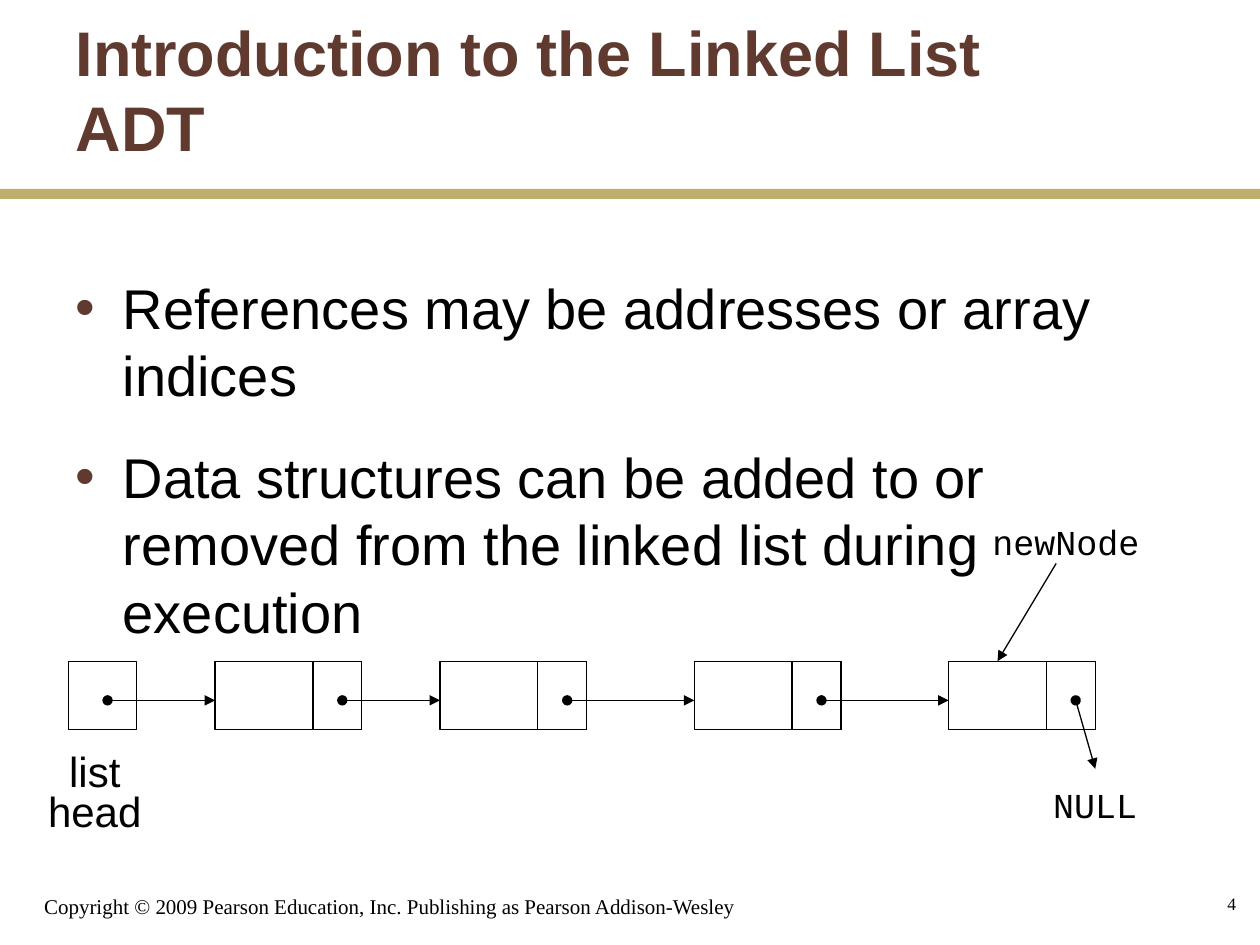
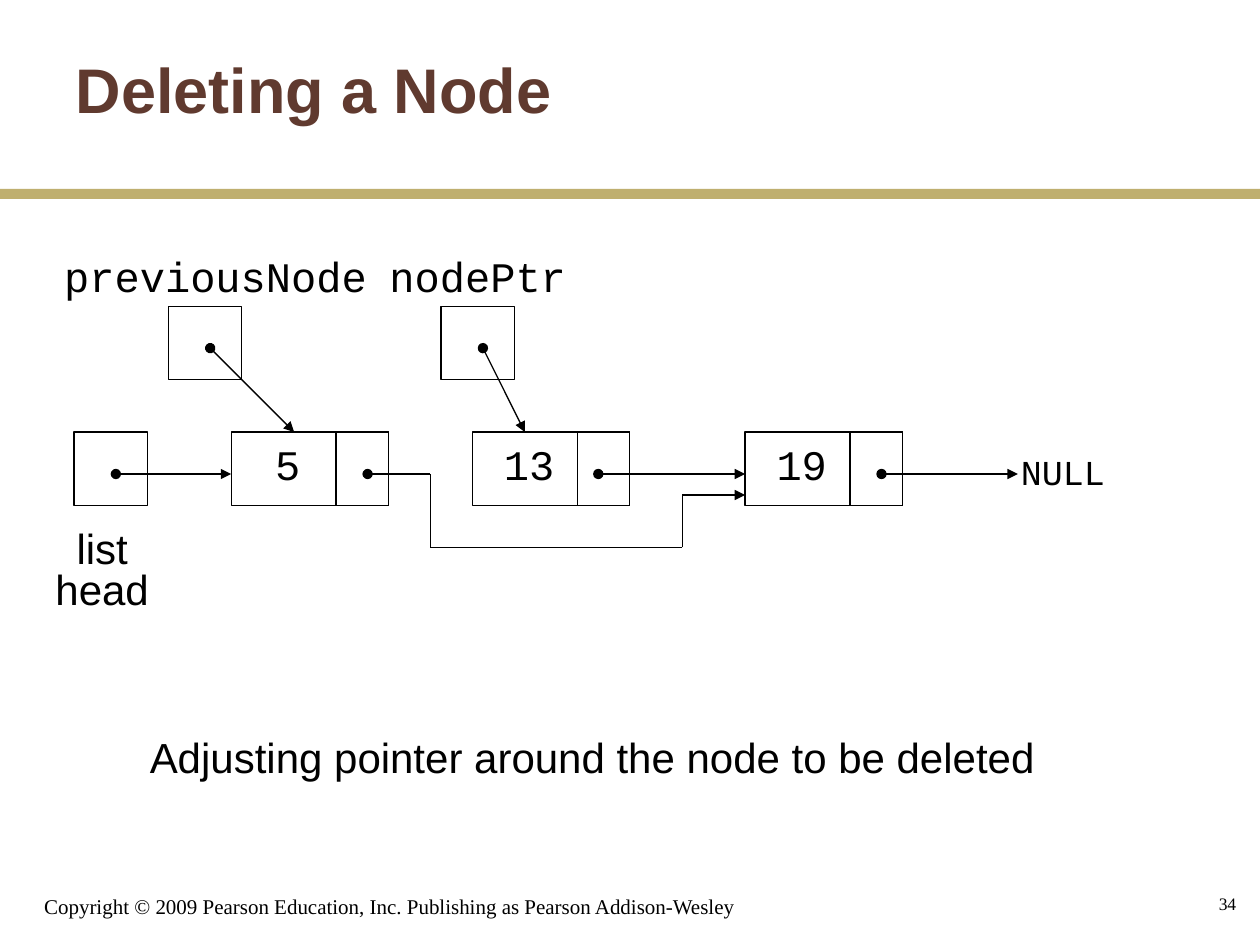
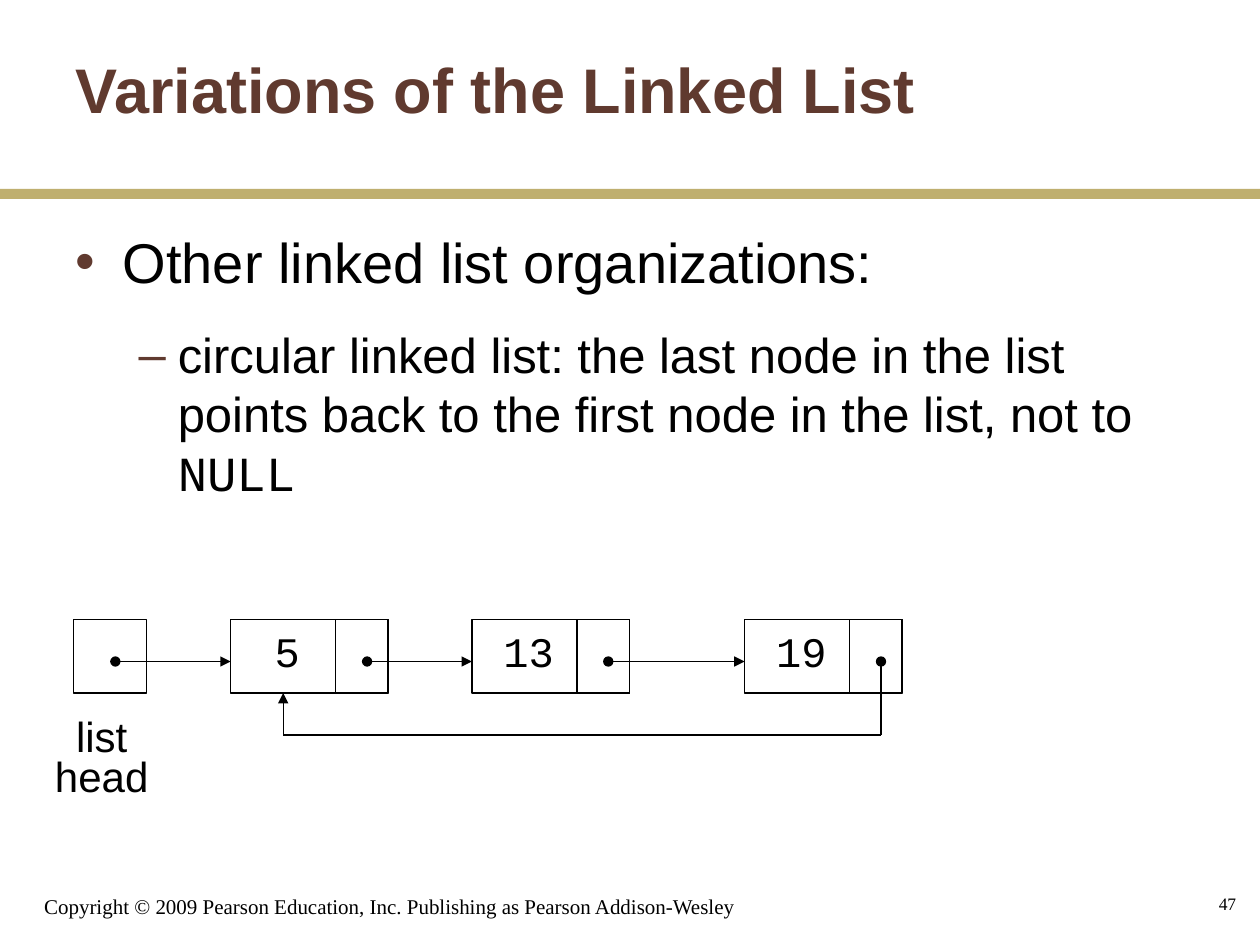
from itertools import pairwise
from pptx import Presentation
from pptx.dml.color import RGBColor
from pptx.enum.shapes import MSO_CONNECTOR, MSO_SHAPE
from pptx.enum.text import MSO_ANCHOR, MSO_AUTO_SIZE, PP_ALIGN
from pptx.oxml.ns import qn
from pptx.oxml.xmlchemy import OxmlElement
from pptx.util import Cm, Pt

COLORS = {"title": "603A2F", "band": "BFAF6F", "ink": "000000"}
SANS, MONO, SERIF = "Arial", "Courier New", "Times New Roman"
COPYRIGHT = "Copyright © 2009 Pearson Education, Inc. Publishing as Pearson Addison-Wesley"
LEVELS = [
    {"char": "•", "size": 32, "margin": 0.95, "hang": 0.95, "before": 20},
    {"char": "–", "size": 28, "margin": 2.06, "hang": 0.79, "before": 17.5},
]
NODE_STARTS = [15, 38, 64, 90]
NODE_WIDTH, DATA_WIDTH, SIDE, DOT = 15, 10, 7, 4
LINK_DOT = 13


def color(name):
    return RGBColor.from_string(COLORS[name])


def set_all(obj, values):
    for name, value in values.items():
        setattr(obj, name, value)


def add_run(p, text, font, size, ink="ink", bold=False):
    r = p.add_run()
    r.text = text
    set_all(r.font, {"name": font, "size": Pt(size), "bold": bold})
    r.font.color.rgb = color(ink)


def add_text(shapes, box, lines, font, size, wrap=True, anchor=MSO_ANCHOR.TOP,
             align=PP_ALIGN.LEFT, spacing=1.0):
    tf = shapes.add_textbox(*map(Cm, box)).text_frame
    set_all(tf, {"word_wrap": wrap, "vertical_anchor": anchor})
    for i, line in enumerate(lines):
        p = tf.add_paragraph() if i else tf.paragraphs[0]
        set_all(p, {"alignment": align, "line_spacing": spacing})
        add_run(p, line, font, size)


def place(shape, box):
    set_all(shape, dict(zip(("left", "top", "width", "height"), map(Cm, box))))


def add_frame(prs, layout, title, number):
    s = prs.slides.add_slide(prs.slide_layouts[layout])
    band = s.shapes.add_shape(MSO_SHAPE.RECTANGLE, 0, Cm(3.81), prs.slide_width, Cm(0.2))
    band.shadow.inherit = False
    band.fill.solid()
    band.fill.fore_color.rgb = color("band")
    band.line.fill.background()
    place(s.shapes.title, (1.27, 0.2, 21.16, 3.18))
    tf = s.shapes.title.text_frame
    set_all(tf, {"auto_size": MSO_AUTO_SIZE.NONE, "vertical_anchor": MSO_ANCHOR.MIDDLE})
    p = tf.paragraphs[0]
    p.alignment = PP_ALIGN.LEFT
    add_run(p, title, SANS, 36, "title", True)
    add_text(s.shapes, (0.64, 17.58, 15.44, 1.07), [COPYRIGHT], SERIF, 12,
             anchor=MSO_ANCHOR.BOTTOM)
    add_text(s.shapes, (19.89, 17.58, 5.28, 1.27), [str(number)], SERIF, 10,
             anchor=MSO_ANCHOR.MIDDLE, align=PP_ALIGN.RIGHT)
    return s


def add_bullet(p, level):
    pPr = p._p.get_or_add_pPr()
    pPr.set("marL", str(Cm(level["margin"])))
    pPr.set("indent", str(-Cm(level["hang"])))
    tint = OxmlElement("a:buClr")
    rgb = OxmlElement("a:srgbClr")
    rgb.set("val", COLORS["title"])
    tint.append(rgb)
    face = OxmlElement("a:buFont")
    face.set("typeface", SANS)
    char = OxmlElement("a:buChar")
    char.set("char", level["char"])
    for el in (tint, face, char):
        pPr.append(el)


def fill_body(s, box, items):
    body = s.placeholders[1]
    place(body, box)
    tf = body.text_frame
    tf.auto_size = MSO_AUTO_SIZE.NONE
    for i, (depth, runs) in enumerate(items):
        level = LEVELS[depth]
        p = tf.add_paragraph() if i else tf.paragraphs[0]
        add_bullet(p, level)
        set_all(p, {"level": depth, "space_before": Pt(level["before"] if i else 0)})
        for text, font in runs:
            add_run(p, text, font, level["size"])


class ListDiagram:
    def __init__(self, s, x, y, side):
        self.shapes = s.shapes.add_group_shape().shapes
        self.x, self.y, self.unit = x, y, side / SIDE

    def at(self, col, row):
        return self.x + col * self.unit, self.y + row * self.unit

    def rect(self, col, row, width):
        size = (width * self.unit, SIDE * self.unit)
        box = self.shapes.add_shape(MSO_SHAPE.RECTANGLE, *map(Cm, self.at(col, row) + size))
        box.shadow.inherit = False
        box.fill.background()
        box.line.color.rgb = color("ink")
        box.line.width = Pt(0.75)

    def route(self, *points, dot=True):
        legs = list(pairwise(points))
        for i, (start, end) in enumerate(legs):
            c = self.shapes.add_connector(
                MSO_CONNECTOR.STRAIGHT, *map(Cm, self.at(*start) + self.at(*end)))
            c.line.color.rgb = color("ink")
            c.line.width = Pt(0.75)
            spPr = c._element.spPr
            ends = [("a:headEnd", "oval", dot and i == 0),
                    ("a:tailEnd", "triangle", i == len(legs) - 1)]
            for tag, kind, shown in ends:
                if shown:
                    el = OxmlElement(tag)
                    el.set("type", kind)
                    spPr.find(qn("a:ln")).append(el)
            spPr.append(OxmlElement("a:effectLst"))

    def label(self, center, row, width, lines, font=MONO, size=24, spacing=1.0):
        x, y = self.at(center, row)
        height = 0.25 + 0.81 * len(lines)
        add_text(self.shapes, (x - width / 2, y, width, height), lines, font, size,
                 wrap=False, align=PP_ALIGN.CENTER, spacing=spacing)

    def null(self, center, row):
        self.label(center, row, 2.21, ["NULL"], size=20, spacing=1.2)

    def pointer_box(self, col, name, center, width, target):
        self.rect(col, -12, SIDE)
        self.route((col + DOT, DOT - 12), (target, 0))
        self.label(center, -17, width, [name], spacing=0.8)

    def chain(self, values, arrows):
        self.rect(0, 0, SIDE)
        self.label(2.7, 9, 2.39, ["list", "head"], SANS, spacing=0.8)
        for start, value in zip(NODE_STARTS, values):
            self.rect(start, 0, NODE_WIDTH)
            self.rect(start + DATA_WIDTH, 0, NODE_WIDTH - DATA_WIDTH)
            if value:
                self.label(start + 5.4, 0, 0.51 * (1 + len(value)), [value])
        dots = [DOT] + [start + LINK_DOT for start in NODE_STARTS]
        for i in arrows:
            self.route((dots[i], DOT), (NODE_STARTS[i], DOT))


def intro_slide(prs):
    s = add_frame(prs, 1, "Introduction to the Linked List ADT", 4)
    fill_body(s, (1.27, 5.38, 22.23, 10.39), [
        (0, [("References may be addresses or array indices", SANS)]),
        (0, [("Data structures can be added to or removed from the linked list "
              "during execution", SANS)]),
    ])
    d = ListDiagram(s, 1.38, 13.33, 1.38)
    d.chain([""] * 4, range(4))
    d.route((103, DOT), (105, 11))
    d.null(105, 11)
    d.label(102, -15, 3.48, ["newNode"], size=20)
    d.route((101, -10), (95, 0), dot=False)


def deleting_slide(prs):
    s = add_frame(prs, 5, "Deleting a Node", 34)
    add_text(s.shapes, (2.77, 14.81, 18.34, 1.07),
             ["Adjusting pointer around the node to be deleted"], SANS, 24,
             wrap=False, spacing=0.8)
    d = ListDiagram(s, 1.49, 8.71, 1.48)
    d.chain(["5", "13", "19"], [0])
    d.route((28, DOT), (34, DOT), (34, 11), (58, 11), (58, 6), (64, 6))
    d.route((50, DOT), (64, DOT))
    d.route((77, DOT), (90, DOT))
    d.null(94.3, 0.4)
    d.pointer_box(9, "previousNode", 13.5, 6.6, 21)
    d.pointer_box(35, "nodePtr", 38.5, 4.06, 43)


def variations_slide(prs):
    s = add_frame(prs, 1, "Variations of the Linked List", 47)
    fill_body(s, (1.27, 4.45, 23.06, 11.43), [
        (0, [("Other linked list organizations:", SANS)]),
        (1, [("circular linked list: the last node in the list points back to the "
              "first node in the list, not to ", SANS), ("NULL", MONO)]),
    ])
    d = ListDiagram(s, 1.48, 12.49, 1.48)
    d.chain(["5", "13", "19"], range(3))
    d.route((77, DOT), (77, 11), (20, 11), (20, SIDE))


def main():
    prs = Presentation()
    set_all(prs, {"slide_width": Cm(25.4), "slide_height": Cm(19.05)})
    for build in (intro_slide, deleting_slide, variations_slide):
        build(prs)
    prs.save("out.pptx")


if __name__ == "__main__":
    main()
